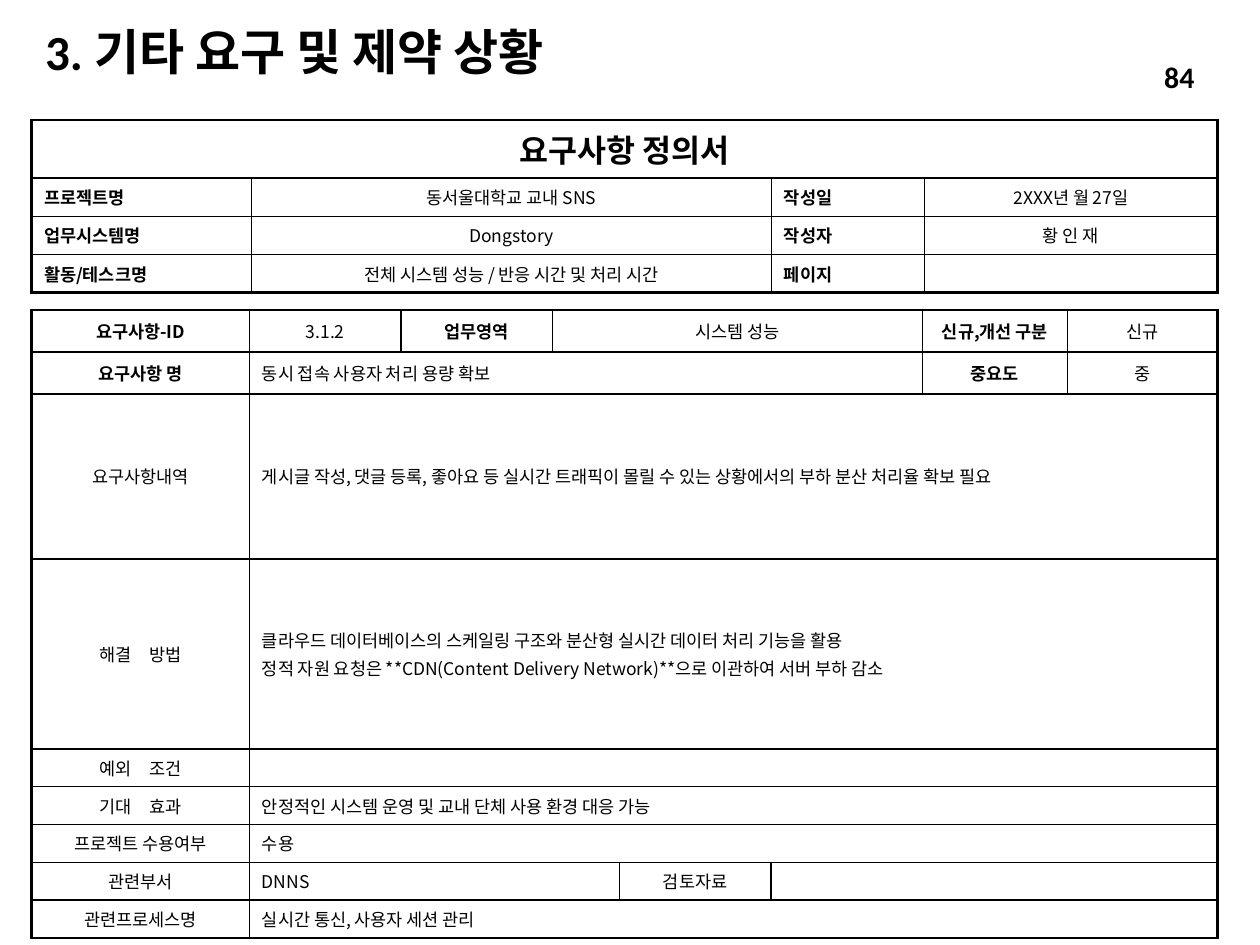
from pptx import Presentation, util as u
from pptx.dml.color import RGBColor
from pptx.enum import text
from pptx.oxml.ns import qn
from lxml import etree

THEME = {
    "ink": "000000",
    "head_font": "Calibri", "body_font": "Noto Sans CJK KR",
    "title": 28, "number": 17, "form": 18, "body": 10,
    "thin": 1, "thick": 1.5, "para_gap": 2,
}
ALIGN = text.PP_ALIGN

# Cell kinds: bold, alignment, size
KINDS = {
    "form": (True, ALIGN.CENTER, "form"),
    "label": (True, ALIGN.JUSTIFY, "body"),
    "head": (True, ALIGN.CENTER, "body"),
    "value": (False, ALIGN.CENTER, "body"),
    "note": (False, ALIGN.LEFT, "body"),
}

# Content: text, alignment, size, left, top, width, height
HEADINGS = [
    ("3. 기타 요구 및 제약 상황", ALIGN.LEFT, "title", (18.7, 15, 386, 32)),
    ("84", ALIGN.RIGHT, "number", (573, 29.5, 116.6, 28.8)),
]

# Each cell: text, kind, columns spanned; thick_after lists rows with a thick line below
REQUIREMENT = {
    "at": (18, 177.1),
    "cols": [124.5, 86.6, 86.6, 38.2, 86.6, 86.6, 82.9, 85.7],
    "rows": [24, 24, 94.3, 108.6] + [21.6] * 5,
    "thick_after": (0, 1),
    "cells": [
        [("요구사항-ID", "head", 1), ("3.1.2", "value", 1), ("업무영역", "head", 1),
         ("시스템 성능", "value", 3), ("신규,개선 구분", "head", 1), ("신규", "value", 1)],
        [("요구사항 명", "head", 1), ("동시 접속 사용자 처리 용량 확보", "note", 5),
         ("중요도", "head", 1), ("중", "value", 1)],
        [("요구사항내역", "value", 1),
         ("게시글 작성, 댓글 등록, 좋아요 등 실시간 트래픽이 몰릴 수 있는 상황에서의 부하 분산 처리율 확보 필요",
          "note", 7)],
        [("해결　방법", "value", 1),
         ("클라우드 데이터베이스의 스케일링 구조와 분산형 실시간 데이터 처리 기능을 활용\n"
          "정적 자원 요청은 **CDN(Content Delivery Network)**으로 이관하여 서버 부하 감소", "note", 7)],
        [("예외　조건", "value", 1), ("", "note", 7)],
        [("기대　효과", "value", 1), ("안정적인 시스템 운영 및 교내 단체 사용 환경 대응 가능", "note", 7)],
        [("프로젝트 수용여부", "value", 1), ("수용", "note", 7)],
        [("관련부서", "value", 1), ("DNNS", "note", 3), ("검토자료", "value", 1), ("", "note", 3)],
        [("관련프로세스명", "value", 1), ("실시간 통신, 사용자 세션 관리", "note", 7)],
    ],
}
FORM_HEADER = {
    "at": (18, 68.4),
    "cols": [125.7, 297.1, 87.4, 167.5],
    "rows": [33.4] + [21.8] * 3,
    "thick_after": (),
    "cells": [
        [("요구사항 정의서", "form", 4)],
        [("프로젝트명", "label", 1), ("동서울대학교 교내 SNS", "value", 1),
         ("작성일", "label", 1), ("2XXX년 월 27일", "value", 1)],
        [("업무시스템명", "label", 1), ("Dongstory", "value", 1),
         ("작성자", "label", 1), ("황 인 재", "value", 1)],
        [("활동/테스크명", "label", 1), ("전체 시스템 성능 / 반응 시간 및 처리 시간", "value", 1),
         ("페이지", "label", 1), ("", "value", 1)],
    ],
}


def style(para, align, size, bold, font):
    para.alignment = align
    para.font.size, para.font.bold, para.font.name = u.Pt(THEME[size]), bold, font
    para.font.color.rgb = RGBColor.from_string(THEME["ink"])


def add_heading(page, words, align, size, area):
    box = page.shapes.add_textbox(*map(u.Pt, area))
    frame = box.text_frame
    frame.word_wrap = True
    frame.vertical_anchor = text.MSO_ANCHOR.MIDDLE
    para = frame.paragraphs[0]
    para.text = words
    style(para, align, size, True, THEME["head_font"])
    if size == "title":
        para.line_spacing = 0.9


def set_borders(cell, widths):
    """widths maps L, R, T, B, in that order, to points."""
    props = cell._tc.get_or_add_tcPr()
    for side, width in widths.items():
        line = etree.SubElement(props, qn(f"a:ln{side}"), w=str(int(u.Pt(width))))
        fill = etree.SubElement(line, qn("a:solidFill"))
        etree.SubElement(fill, qn("a:srgbClr"), val=THEME["ink"])


def fill_cell(cell, words, kind):
    bold, align, size = KINDS[kind]
    cell.vertical_anchor = text.MSO_ANCHOR.MIDDLE
    frame = cell.text_frame
    for i, line in enumerate(words.split("\n")):
        para = frame.add_paragraph() if i else frame.paragraphs[0]
        para.text = line
        if i:
            para.space_before = u.Pt(THEME["para_gap"])
        style(para, align, size, bold, THEME["body_font"])
        if not line:  # keeps an empty row at the body size
            etree.SubElement(para._p, qn("a:endParaRPr"), sz=str(THEME[size] * 100))


def add_form(page, form):
    cols, rows = form["cols"], form["rows"]
    frame = page.shapes.add_table(len(rows), len(cols), *map(u.Pt, form["at"]),
                                  u.Pt(sum(cols)), u.Pt(sum(rows)))
    table = frame.table
    table.first_row = table.horz_banding = False
    for column, width in zip(table.columns, cols):
        column.width = u.Pt(width)
    for row, height in zip(table.rows, rows):
        row.height = u.Pt(height)

    # Line weights by grid line: outer frame and chosen rows are thick
    thick_rows = {0, len(rows)} | {r + 1 for r in form["thick_after"]}
    across = [THEME["thick" if i in thick_rows else "thin"] for i in range(len(rows) + 1)]
    down = [THEME["thick" if i in (0, len(cols)) else "thin"] for i in range(len(cols) + 1)]

    for r, entries in enumerate(form["cells"]):
        start = 0
        for words, kind, span in entries:
            end = start + span
            for c in range(start, end):
                widths = {}
                if c == start:
                    widths["L"] = down[start]
                if c in (start, end - 1):
                    widths["R"] = down[end]
                widths.update(T=across[r], B=across[r + 1])
                set_borders(table.cell(r, c), widths)
                table.cell(r, c).fill.background()
            cell = table.cell(r, start)
            if span > 1:
                cell.merge(table.cell(r, end - 1))
            fill_cell(cell, words, kind)
            start = end


def main():
    deck = Presentation()
    deck.slide_width, deck.slide_height = u.Pt(720), u.Pt(540)
    page = deck.slides.add_slide(deck.slide_layouts[6])
    # Title and page number
    for heading in HEADINGS:
        add_heading(page, *heading)
    # Form tables
    for form in (REQUIREMENT, FORM_HEADER):
        add_form(page, form)
    deck.save("out.pptx")


if __name__ == "__main__":
    main()
